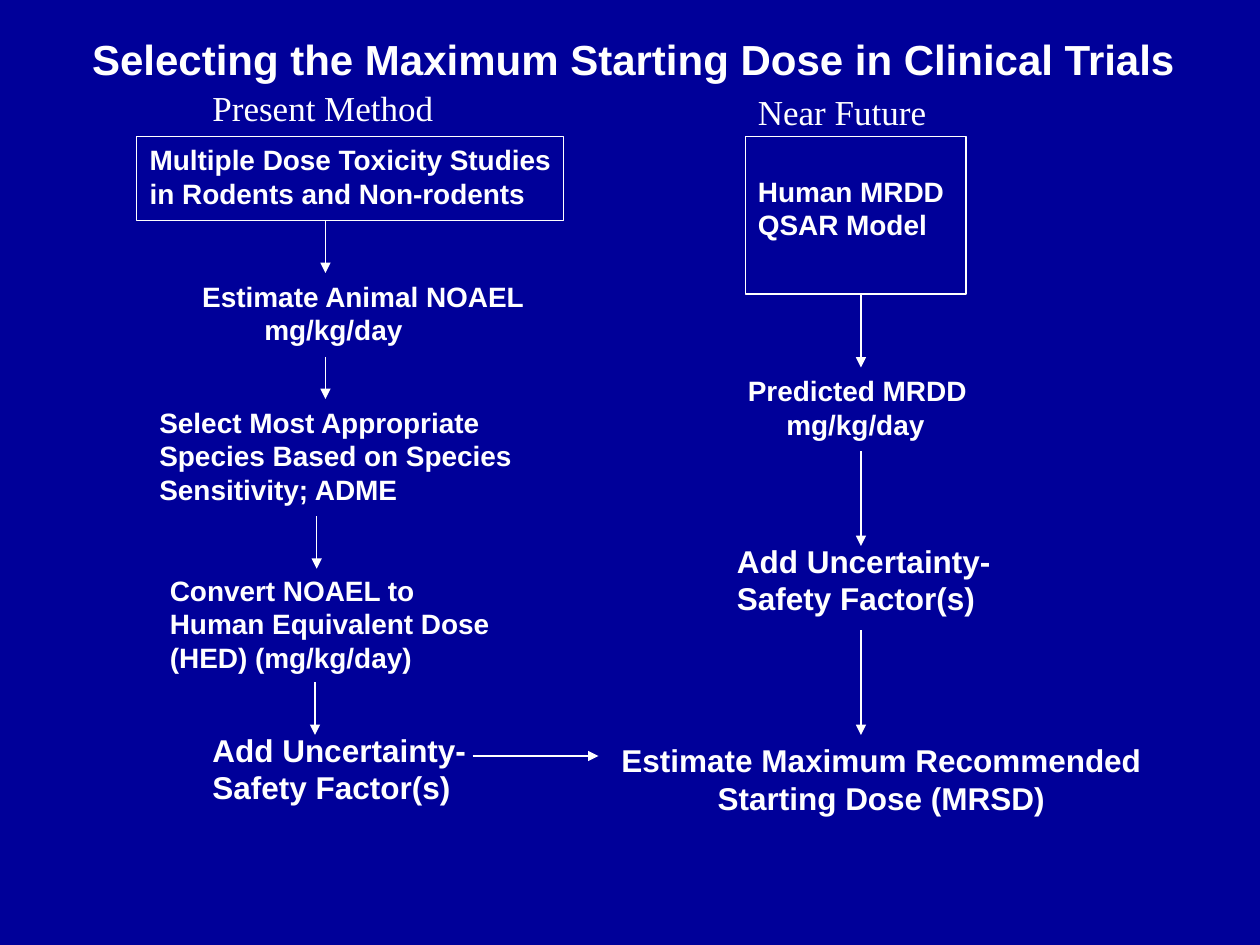
from pptx import Presentation
from pptx.dml.color import RGBColor
from pptx.enum.shapes import MSO_CONNECTOR, MSO_SHAPE
from pptx.enum.text import MSO_ANCHOR, MSO_AUTO_SIZE, PP_ALIGN
from pptx.oxml.ns import qn
from pptx.util import Pt
from lxml.etree import SubElement

COLORS = {"background": "000099", "foreground": "FFFFFF"}
WHITE = RGBColor.from_string(COLORS["foreground"])


def write_text(sp, lines, size=16, font="Arial", bold=True, wrap=False, indent=0):
    """Write one paragraph per line; indent moves every line after the first."""
    tf = sp.text_frame
    tf.word_wrap = wrap
    tf.auto_size = MSO_AUTO_SIZE.NONE
    tf.vertical_anchor = MSO_ANCHOR.TOP
    for i, line in enumerate(lines):
        p = tf.paragraphs[0] if i == 0 else tf.add_paragraph()
        p.alignment = PP_ALIGN.LEFT
        if i and indent:
            p._p.get_or_add_pPr().set("marL", str(Pt(indent)))
        r = p.add_run()
        r.text = line
        r.font.name = font
        r.font.size = Pt(size)
        r.font.bold = bold
        r.font.color.rgb = WHITE


prs = Presentation()
prs.slide_width, prs.slide_height = Pt(720), Pt(540)
s = prs.slides.add_slide(prs.slide_layouts[5])
s.background.fill.solid()
s.background.fill.fore_color.rgb = RGBColor.from_string(COLORS["background"])

# Title
title = s.shapes.title
title.left, title.top, title.width, title.height = Pt(45.4), Pt(15.8), Pt(634.3), Pt(36)
write_text(title, ["Selecting the Maximum Starting Dose in Clinical Trials"], size=24)

# Frames around the starting points
for x, y, w, h in [(78, 78, 244, 48), (426, 78, 126, 90)]:
    sp = s.shapes.add_shape(MSO_SHAPE.RECTANGLE, Pt(x), Pt(y), Pt(w), Pt(h))
    sp.shadow.inherit = False
    sp.fill.background()
    sp.line.color.rgb = WHITE
    sp.line.width = Pt(0.75)

# Column headings and steps: left, top, width, height, lines, format
heading = {"size": 20, "font": "Times New Roman", "bold": False}
safety = ["Add Uncertainty-", "Safety Factor(s)"]
steps = [
    # Present method
    (114.3, 46, 140.4, 31.5, ["Present Method"], heading),
    (78.5, 78, 244.8, 46,
     ["Multiple Dose Toxicity Studies", "in Rodents and Non-rodents"], {}),
    (108.5, 156, 198.7, 46, ["Estimate Animal NOAEL", "mg/kg/day"], {"indent": 35.5}),
    (84, 228, 240, 65,
     ["Select Most Appropriate", "Species Based on Species Sensitivity; ADME"],
     {"wrap": True}),
    (90, 324, 222, 65,
     ["Convert NOAEL to", "Human Equivalent Dose (HED) (mg/kg/day)"],
     {"wrap": True}),
    (114.3, 414, 159, 50.5, safety, {"size": 18}),
    # Near future
    (426, 48, 110.2, 31.5, ["Near Future"], heading),
    (426, 96, 121, 46, ["Human MRDD", "QSAR Model"], {}),
    (420.3, 210, 139, 46, ["Predicted MRDD", "mg/kg/day"], {"indent": 22}),
    (414, 306, 159, 50.5, safety, {"size": 18}),
    # Shared result
    (348, 420, 312, 50.5,
     ["Estimate Maximum Recommended", "Starting Dose (MRSD)"],
     {"size": 18, "wrap": True, "indent": 55}),
]
for x, y, w, h, lines, style in steps:
    sp = s.shapes.add_textbox(Pt(x), Pt(y), Pt(w), Pt(h))
    write_text(sp, lines, **style)

# Arrows: start x, start y, end x, end y
arrows = [
    (186, 126, 186, 156), (186, 204, 186, 228),
    (181, 295, 181, 325), (180, 390, 180, 420),
    (492, 168, 492, 210), (492, 258, 492, 312), (492, 360, 492, 420),
    (270, 432, 342, 432),
]
for ends in arrows:
    line = s.shapes.add_connector(MSO_CONNECTOR.STRAIGHT, *[Pt(v) for v in ends])
    line.line.color.rgb = WHITE
    line.line.width = Pt(0.75)
    SubElement(line.line._get_or_add_ln(), qn("a:tailEnd"), type="triangle")
    SubElement(line._element.spPr, qn("a:effectLst"))

prs.save("out.pptx")
